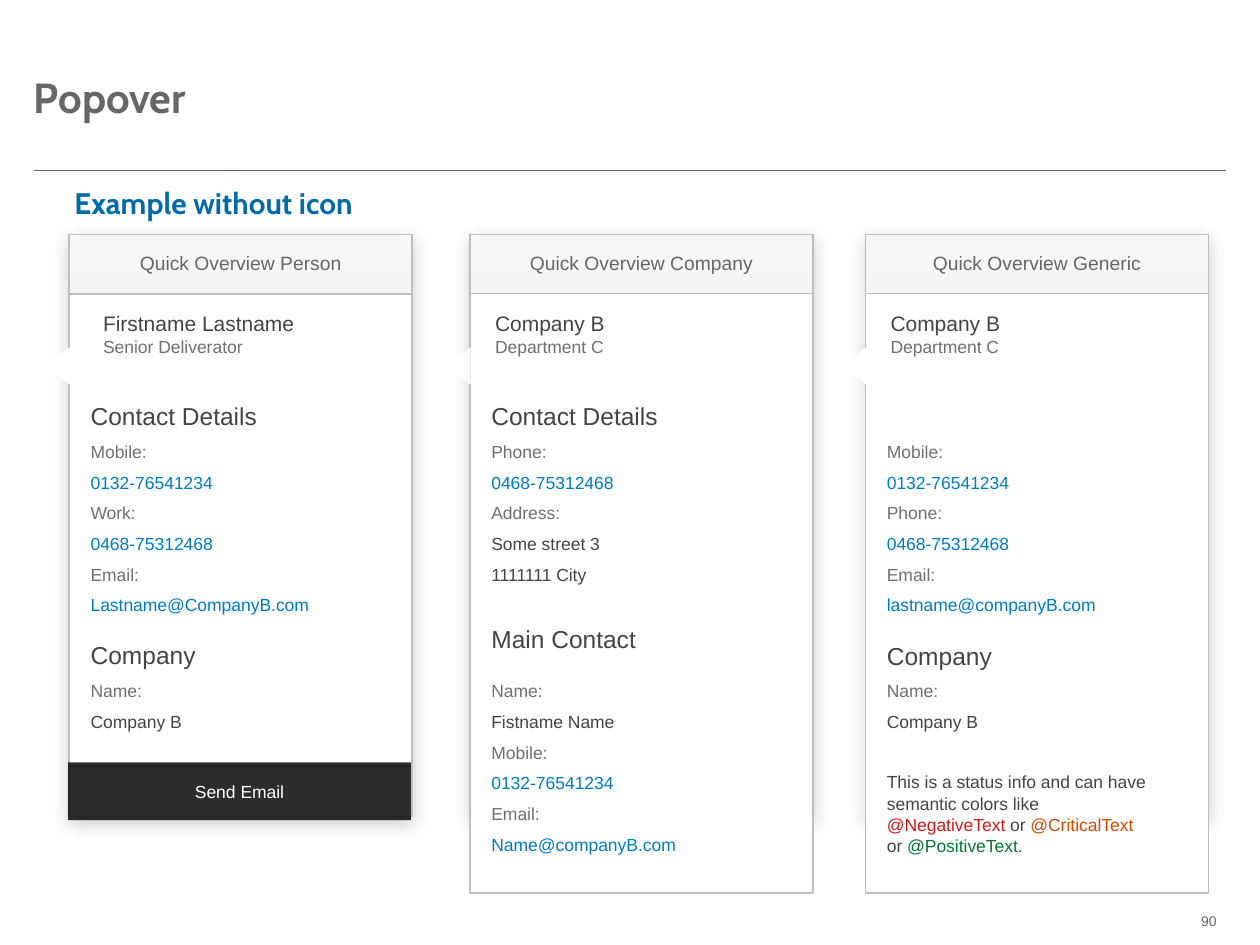
from lxml import etree
from pptx import Presentation
from pptx.dml.color import RGBColor
from pptx.enum.shapes import MSO_CONNECTOR, MSO_SHAPE
from pptx.enum.text import MSO_ANCHOR, MSO_AUTO_SIZE, PP_ALIGN
from pptx.oxml.ns import qn
from pptx.util import Pt

COLORS = {
    "gray": "666666", "dark": "444444", "muted": "707070", "link": "007CC0",
    "blue": "006CA7", "border": "BFBFBF", "white": "FFFFFF", "black": "000000",
    "header_top": "F7F7F7", "header_bottom": "EDEDED",
    "negative": "CC1919", "critical": "D14900", "positive": "007833",
}


def text_style(color, size, gap=0, font="Arial", bold=False):
    return {"color": color, "gap": gap,
            "font": {"name": font, "size": Pt(size), "bold": bold}}


STYLES = {
    "title": text_style("gray", 24, font="Cabin", bold=True),
    "subtitle": text_style("blue", 17, font="Cabin", bold=True),
    "page": text_style("gray", 8),
    "header": text_style("gray", 11),
    "name": text_style("dark", 12),
    "role": text_style("muted", 10),
    "heading": text_style("dark", 14),
    "label": text_style("muted", 10, gap=5.5),
    "link": text_style("link", 10, gap=5.5),
    "value": text_style("dark", 10, gap=5.5),
    "status": text_style("dark", 10, gap=22.5),
    "negative": text_style("negative", 10),
    "critical": text_style("critical", 10),
    "positive": text_style("positive", 10),
    "button": text_style("white", 10),
}

CARD_TOP, CARD_WIDTH, CARD_HEIGHT = 134, 196, 332.6
BODY_TOP = 167.8
INDENT = 12.2
WIDE, NARROW = 170.6, 152
DETAILS_TOP, LOWER_TOP = 252, 388.8


def rgb(color):
    return RGBColor.from_string(COLORS[color])


def lines(*pairs):
    """Turn (style, text) pairs into paragraphs of one run each."""
    return [[pair] for pair in pairs]


class SlideBuilder:
    def __init__(self, slide):
        self.slide = slide
        self.shapes = slide.shapes

    def start_group(self):
        self.shapes = self.slide.shapes.add_group_shape().shapes

    def end_group(self):
        self.shapes = self.slide.shapes

    def fill_text(self, shape, paragraphs, align=PP_ALIGN.LEFT,
                  anchor=MSO_ANCHOR.TOP, margins=(0, 0, 0, 0)):
        """Fill a shape with paragraphs, each a list of (style, text) runs."""
        frame = shape.text_frame
        left, top, right, bottom = map(Pt, margins)
        settings = {
            "word_wrap": True, "auto_size": MSO_AUTO_SIZE.NONE,
            "vertical_anchor": anchor, "margin_left": left,
            "margin_top": top, "margin_right": right, "margin_bottom": bottom,
        }
        for key, value in settings.items():
            setattr(frame, key, value)
        for index, runs in enumerate(paragraphs):
            paragraph = frame.add_paragraph() if index else frame.paragraphs[0]
            paragraph.alignment = align
            if index:
                paragraph.space_before = Pt(STYLES[runs[0][0]]["gap"])
            for style, text in runs:
                run = paragraph.add_run()
                run.text = text
                for key, value in STYLES[style]["font"].items():
                    setattr(run.font, key, value)
                run.font.color.rgb = rgb(STYLES[style]["color"])

    def title(self, text, *box):
        shape = self.slide.shapes.title
        for key, value in zip(("left", "top", "width", "height"), box):
            setattr(shape, key, Pt(value))
        self.fill_text(shape, lines(("title", text)), anchor=MSO_ANCHOR.MIDDLE)

    def text(self, box, paragraphs, **options):
        self.fill_text(self.shapes.add_textbox(*map(Pt, box)), paragraphs, **options)

    def box(self, kind, box, fill, border=None):
        shape = self.shapes.add_shape(kind, *map(Pt, box))
        shape.shadow.inherit = False
        shape.fill.solid()
        shape.fill.fore_color.rgb = rgb(fill)
        if border:
            shape.line.color.rgb = rgb(border)
            shape.line.width = Pt(1)
        else:
            shape.line.fill.background()
        return shape

    def rule(self, left, right, top):
        connector = self.shapes.add_connector(
            MSO_CONNECTOR.STRAIGHT, Pt(left), Pt(top), Pt(right), Pt(top))
        connector.line.color.rgb = rgb("gray")
        connector.line.width = Pt(0.5)
        etree.SubElement(connector.element.spPr, qn("a:effectLst"))

    def set_alpha(self, color_element, percent):
        etree.SubElement(color_element, qn("a:alpha"), val=str(percent * 1000))

    def header(self, left, text):
        """Draw the shaded card back, with its caption at the top."""
        shape = self.box(MSO_SHAPE.RECTANGLE,
                         (left, CARD_TOP, CARD_WIDTH, CARD_HEIGHT), "white", "border")
        shape.fill.gradient()
        shape.fill.gradient_angle = 270
        stops = zip(shape.fill.gradient_stops, (0, 0.34), ("header_top", "header_bottom"))
        for stop, position, color in stops:
            stop.position = position
            stop.color.rgb = rgb(color)
        shadow = etree.SubElement(
            shape.element.spPr.find(qn("a:effectLst")), qn("a:outerShdw"),
            blurRad=str(Pt(10)), dist=str(Pt(3)), dir=str(90 * 60000),
            algn="t", rotWithShape="0")
        color = etree.SubElement(shadow, qn("a:srgbClr"), val=COLORS["black"])
        self.set_alpha(color, 20)
        self.fill_text(shape, lines(("header", text)), PP_ALIGN.CENTER,
                       margins=(7.2, 9.4, 7.2, 3.6))

    def card(self, left, caption, body_height, name_indent, name, role, sections):
        self.start_group()
        self.header(left, caption)
        self.box(MSO_SHAPE.RECTANGLE, (left, BODY_TOP, CARD_WIDTH, body_height),
                 "white", "border")
        pointer = self.box(MSO_SHAPE.FLOWCHART_MERGE,
                           (left - 17.3, 202.3, 21.6, 13.7), "white")
        pointer.rotation = 90
        self.text((left + name_indent, 174, 143.3, 33.8),
                  lines(("name", name), ("role", role)), margins=(7.2, 3.6, 7.2, 3.6))
        for top, width, height, paragraphs in sections:
            self.text((left + INDENT, top, width, height), paragraphs)
        self.end_group()

    def button(self, box, text):
        shape = self.box(MSO_SHAPE.RECTANGLE, box, "black")
        self.set_alpha(shape.element.spPr.find(qn("a:solidFill"))[0], 81)
        self.fill_text(shape, lines(("button", text)), PP_ALIGN.CENTER, MSO_ANCHOR.MIDDLE)


def heading(top, text):
    return top, WIDE, 17.3, lines(("heading", text))


def details(*pairs):
    return DETAILS_TOP, WIDE, 17.2 * len(pairs), lines(*pairs)


STATUS = [
    ("status", "This is a status info and can have semantic colors like "),
    ("negative", "@NegativeText "), ("value", "or "),
    ("critical", "@CriticalText "), ("value", "or "),
    ("positive", "@PositiveText."),
]
COMPANY = lines(("label", "Name:"), ("value", "Company B"))

CARDS = [
    (39.6, "Quick Overview Person", 270, 12.2, "Firstname Lastname", "Senior Deliverator", [
        heading(229, "Contact Details"),
        details(("label", "Mobile:"), ("link", "0132-76541234"),
                ("label", "Work:"), ("link", "0468-75312468"),
                ("label", "Email:"), ("link", "Lastname@CompanyB.com")),
        heading(366, "Company"),
        (LOWER_TOP, NARROW, 48, COMPANY),
    ]),
    (268.6, "Quick Overview Company", 342.7, 7.2, "Company B", "Department C", [
        heading(229, "Contact Details"),
        details(("label", "Phone:"), ("link", "0468-75312468"), ("label", "Address:"),
                ("value", "Some street 3"), ("value", "1111111 City")),
        heading(356.4, "Main Contact"),
        (LOWER_TOP, NARROW, 121, lines(
            ("label", "Name:"), ("value", "Fistname Name"),
            ("label", "Mobile:"), ("link", "0132-76541234"),
            ("label", "Email:"), ("link", "Name@companyB.com"))),
    ]),
    (494.6, "Quick Overview Generic", 342.7, 7.2, "Company B", "Department C", [
        details(("label", "Mobile:"), ("link", "0132-76541234"),
                ("label", "Phone:"), ("link", "0468-75312468"),
                ("label", "Email:"), ("link", "lastname@companyB.com")),
        heading(366.5, "Company"),
        (LOWER_TOP, NARROW, 121, COMPANY + [STATUS]),
    ]),
]


def main():
    presentation = Presentation()
    presentation.slide_width, presentation.slide_height = Pt(720), Pt(540)
    builder = SlideBuilder(presentation.slides.add_slide(presentation.slide_layouts[5]))
    builder.rule(19.4, 700.6, 97.2)
    builder.text((660, 521.3, 35.3, 9.4), lines(("page", "90")), align=PP_ALIGN.RIGHT)
    builder.title("Popover", 19.4, 25.2, 681.8, 59.8)
    builder.text((42.5, 105.8, 165, 20.9), lines(("subtitle", "Example without icon")))
    for card in CARDS:
        builder.card(*card)
    builder.button((38.9, 435.6, CARD_WIDTH, 33.1), "Send Email")
    presentation.save("out.pptx")


if __name__ == "__main__":
    main()
